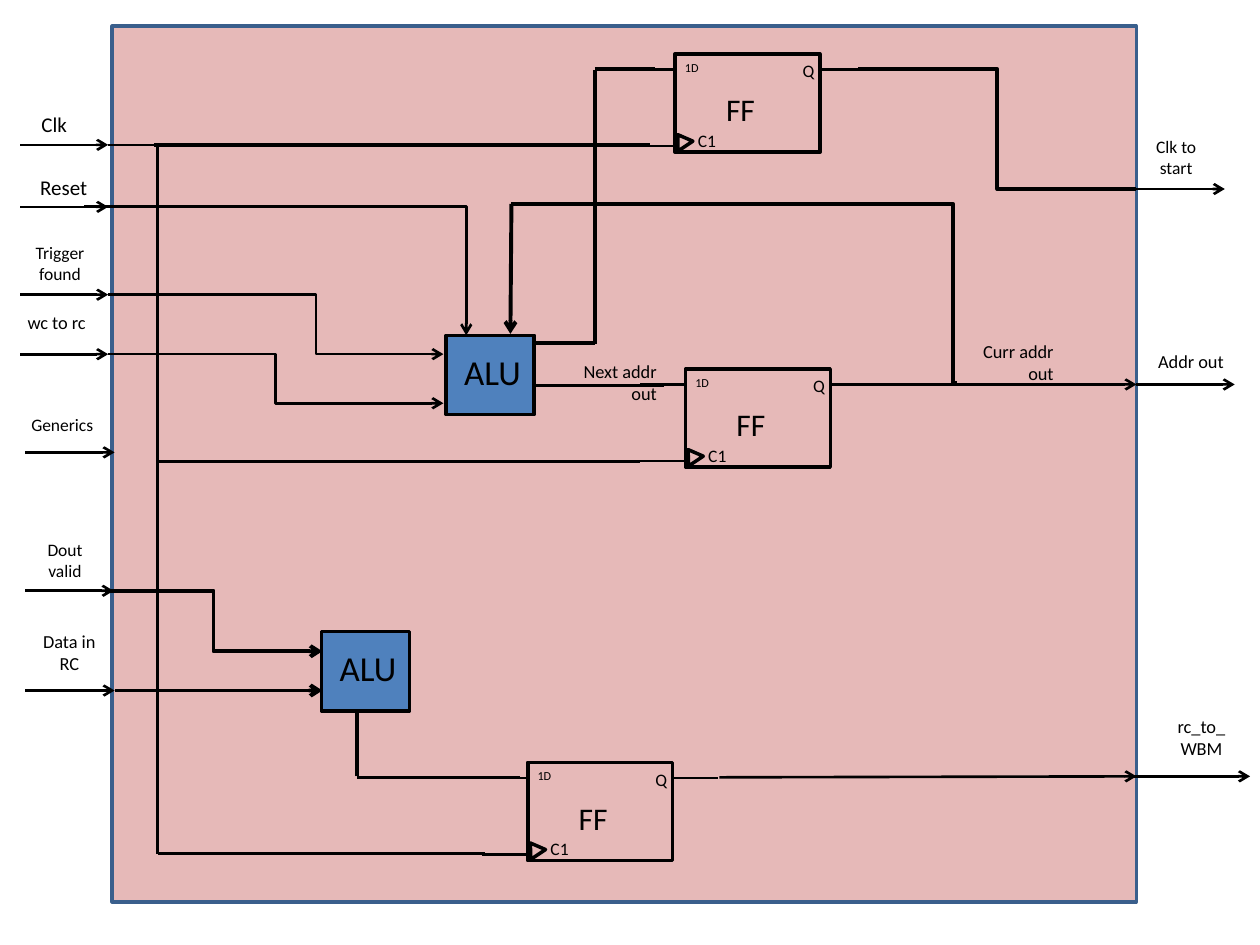
from dataclasses import dataclass
from typing import Optional

from lxml.etree import SubElement
from pptx import Presentation
from pptx.dml.color import RGBColor
from pptx.enum.shapes import MSO_CONNECTOR, MSO_SHAPE
from pptx.enum.text import MSO_AUTO_SIZE, PP_ALIGN
from pptx.oxml.ns import qn
from pptx.util import Cm, Pt

BLACK, PINK, BLUE, NAVY = "000000", "E6B9B8", "4F81BD", "3A5F8C"
THIN, THICK = 1.5, 2.25
CENTER, RIGHT = PP_ALIGN.CENTER, PP_ALIGN.RIGHT
CHIP_RIGHT = 22.91


@dataclass
class Label:
    text: str
    left: float
    top: float
    width: float
    height: float
    size: float = 10
    align: PP_ALIGN = CENTER


@dataclass
class Wire:
    x1: float
    y1: float
    x2: float
    y2: float
    weight: float = THIN
    arrow: bool = False
    bend: Optional[float] = None  # share of the width where the elbow turns
    corner: bool = False  # a single turn at the far end


@dataclass
class Signal:
    label: Label
    start: float
    end: float
    y: float


def colour(value: str) -> RGBColor:
    return RGBColor.from_string(value)


def draw_shape(shapes, kind, left, top, width, height, fill=None, line=BLACK):
    shape = shapes.add_shape(kind, Cm(left), Cm(top), Cm(width), Cm(height))
    shape.shadow.inherit = False
    if fill:
        shape.fill.solid()
        shape.fill.fore_color.rgb = colour(fill)
    else:
        shape.fill.background()
    shape.line.color.rgb = colour(line)
    shape.line.width = Pt(2)
    return shape


def draw_label(shapes, label: Label, dx: float = 0, dy: float = 0) -> None:
    box = shapes.add_textbox(Cm(label.left + dx), Cm(label.top + dy),
                             Cm(label.width), Cm(label.height))
    frame = box.text_frame
    frame.word_wrap = True
    frame.auto_size = MSO_AUTO_SIZE.SHAPE_TO_FIT_TEXT
    para = frame.paragraphs[0]
    para.alignment = label.align
    span = para.add_run()
    span.text = label.text
    span.font.name = "Calibri"
    span.font.size = Pt(label.size)
    span.font.color.rgb = colour(BLACK)


def draw_wire(shapes, wire: Wire) -> None:
    bent = wire.corner or wire.bend is not None
    kind = MSO_CONNECTOR.ELBOW if bent else MSO_CONNECTOR.STRAIGHT
    connector = shapes.add_connector(kind, Cm(wire.x1), Cm(wire.y1),
                                     Cm(wire.x2), Cm(wire.y2))
    connector.line.color.rgb = colour(BLACK)
    connector.line.width = Pt(wire.weight)
    properties = connector.element.spPr
    geometry = properties.find(qn("a:prstGeom"))
    if wire.corner:
        geometry.set("prst", "bentConnector2")
    elif bent:
        guides = geometry.find(qn("a:avLst"))
        SubElement(guides, qn("a:gd"), name="adj1",
                   fmla=f"val {round(wire.bend * 100000)}")
    if wire.arrow:
        SubElement(properties.find(qn("a:ln")), qn("a:tailEnd"), type="arrow")
    SubElement(properties, qn("a:effectLst"))


def draw_alu(page, left: float, top: float) -> None:
    shapes = page.shapes.add_group_shape().shapes
    draw_shape(shapes, MSO_SHAPE.RECTANGLE, left, top, 1.78, 1.6, BLUE)
    draw_label(shapes, Label("ALU", -0.05, 0.18, 1.98, 1.12, 20), left, top)


def draw_flip_flop(page, left: float, top: float) -> None:
    shapes = page.shapes.add_group_shape().shapes
    width, lead, pin_y, clock_y = 2.92, 0.92, 0.31, 1.85
    draw_shape(shapes, MSO_SHAPE.RECTANGLE, left, top, width, 1.98)
    clock = draw_shape(shapes, MSO_SHAPE.ISOSCELES_TRIANGLE,
                       left - 0.05, top + 1.6, 0.36, 0.28)
    clock.rotation = 326.2
    for x, y in ((-lead, clock_y), (-lead, pin_y), (width, pin_y)):
        draw_wire(shapes, Wire(left + x, top + y, left + x + lead, top + y))
    for label in (Label("FF", 0.69, 0.61, 1.17, 1.02, 18, RIGHT),
                  Label("C1", 0.08, 1.4, 1.12, 0.69),
                  Label("1D", -0.2, 0, 1.07, 0.56, 7),
                  Label("Q", 2.31, 0, 0.76, 0.53)):
        draw_label(shapes, label, left, top)


SIGNALS = [
    # Inputs
    Signal(Label("Clk", 0.41, 2.13, 1.19, 0.76, 12, RIGHT), 0.41, 2.18, 2.92),
    Signal(Label("Reset", 0.41, 3.4, 1.6, 0.76, 12, RIGHT), 0.41, 2.18, 4.17),
    Signal(Label("Trigger found", 0.41, 4.75, 1.6, 1.12), 0.41, 2.18, 5.94),
    Signal(Label("wc to rc", 0.2, 6.15, 1.78, 0.71, 10.5, RIGHT), 0.41, 2.18, 7.14),
    Signal(Label("Generics", 0.2, 8.23, 2.11, 0.69), 0.51, 2.31, 9.12),
    Signal(Label("Dout valid", 0.51, 10.74, 1.6, 1.12), 0.51, 2.29, 11.91),
    Signal(Label("Data in RC", 0.41, 12.57, 1.98, 1.14, 10.5), 0.51, 2.31, 13.92),
    # Outputs
    Signal(Label("Clk to start", 22.91, 2.62, 1.6, 1.12), CHIP_RIGHT, 24.69, 3.81),
    Signal(Label("Addr out", 22.53, 6.93, 2.39, 0.71, 10.5, RIGHT), CHIP_RIGHT, 24.89, 7.75),
    Signal(Label("rc_to_WBM", 23.42, 14.3, 1.6, 1.14, 10.5), 22.81, 25.2, 15.65),
]

WIRES = [
    # Clock distribution
    Wire(2.18, 2.92, 3.18, 2.92),
    Wire(3.18, 2.92, 3.18, 17.22),
    Wire(3.1, 2.92, 13.11, 2.92, THICK),
    Wire(3.18, 9.3, 12.9, 9.3),
    Wire(3.18, 17.2, 9.78, 17.2),
    # Inputs of the address ALU
    Wire(2.18, 7.14, 8.94, 8.13, arrow=True, bend=0.5),
    Wire(2.18, 5.94, 8.94, 7.14, arrow=True, bend=0.62),
    Wire(1.7, 4.17, 9.4, 6.76, arrow=True, corner=True),
    # Address ALU to the start flip-flop
    Wire(10.8, 6.91, 11.99, 6.91, THICK),
    Wire(11.99, 6.93, 11.99, 1.42, THICK),
    Wire(11.99, 1.4, 13.21, 1.4, THICK),
    Wire(17.3, 1.4, CHIP_RIGHT, 3.81, THICK, bend=0.5),
    # Address register and its feedback
    Wire(13.39, 7.77, 10.8, 7.77),
    Wire(17.6, 7.75, CHIP_RIGHT, 7.75, arrow=True),
    Wire(19.3, 7.72, 10.31, 4.11, THICK, bend=0.01),
    Wire(10.31, 4.11, 10.29, 6.73, THICK, arrow=True),
    # Data path
    Wire(2.11, 11.91, 6.5, 13.13, THICK, arrow=True, bend=0.5),
    Wire(2.31, 13.92, 6.5, 13.92, THICK, arrow=True),
    Wire(7.19, 15.65, 7.19, 14.35, THICK),
    Wire(7.19, 15.67, 10.49, 15.67),
    Wire(14.5, 15.67, CHIP_RIGHT, 15.65, arrow=True),
]


def main() -> None:
    deck = Presentation()
    deck.slide_width, deck.slide_height = Cm(25.4), Cm(19.05)
    page = deck.slides.add_slide(deck.slide_layouts[6])

    # Chip outline
    draw_shape(page.shapes, MSO_SHAPE.RECTANGLE, 2.26, 0.53, 20.65, 17.65, PINK, NAVY)

    # Logic blocks
    for left, top in ((8.99, 6.76), (6.48, 12.73)):
        draw_alu(page, left, top)
    for left, top in ((13.61, 1.09), (13.82, 7.44), (10.64, 15.37)):
        draw_flip_flop(page, left, top)

    # Signals at the chip's edges
    for signal in SIGNALS:
        draw_wire(page.shapes, Wire(signal.start, signal.y, signal.end, signal.y, arrow=True))
        draw_label(page.shapes, signal.label)

    # Internal wiring and its labels
    for wire in WIRES:
        draw_wire(page.shapes, wire)
    for text, left, top in (("Curr addr out", 19.1, 6.73), ("Next addr out", 11.1, 7.14)):
        draw_label(page.shapes, Label(text, left, top, 2.39, 1.14, 10.5, RIGHT))

    deck.save("out.pptx")


if __name__ == "__main__":
    main()
